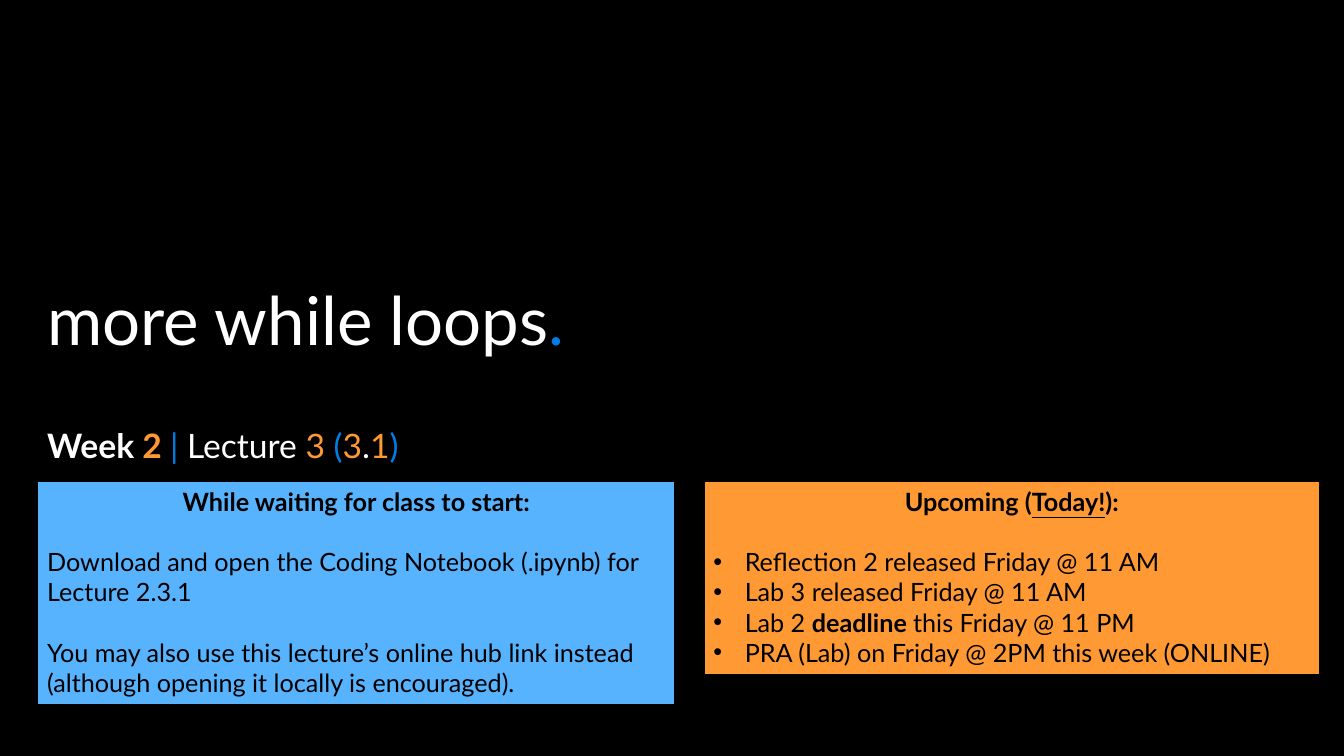
from lxml.etree import SubElement
from pptx import Presentation
from pptx.dml.color import RGBColor
from pptx.enum.shapes import MSO_SHAPE
from pptx.enum.text import MSO_ANCHOR, PP_ALIGN
from pptx.oxml.ns import qn
from pptx.util import Cm, Pt

BLACK, WHITE = "000000", "FFFFFF"
BLUE, ORANGE, SKY = "017EE5", "FF9933", "58B3FE"
LEFT, WIDE = 0.94, 31.65
TOP = 12.12


def paint(color, code):
    """Give a fill, line or font colour format its hex colour."""
    color.rgb = RGBColor.from_string(code)


def write(para, parts, size):
    """Fill a paragraph with (text, colour, bold, underline) parts."""
    for text, code, bold, under in parts:
        run = para.add_run()
        run.text = text
        font = run.font
        font.name, font.size = "Lato", Pt(size)
        font.bold, font.underline = bold, under
        paint(font.color, code)


def bullet(para):
    props = para._p.get_or_add_pPr()
    props.set("marL", str(Cm(0.79)))
    props.set("indent", str(-Cm(0.79)))
    SubElement(props, qn("a:buFont")).set("typeface", "Arial")
    SubElement(props, qn("a:buChar")).set("char", "•")


def heading(slide, box, parts, size, anchor):
    """Place one line of large text in the box."""
    frame = slide.shapes.add_textbox(*map(Cm, box)).text_frame
    frame.word_wrap = True
    frame.vertical_anchor = anchor
    para = frame.paragraphs[0]
    para.line_spacing = 0.9
    write(para, parts, size)


def panel(slide, box, fill, title, rows, gaps, dots=False):
    """Draw a filled notice; gaps holds the rows that follow an empty line."""
    shape = slide.shapes.add_shape(MSO_SHAPE.RECTANGLE, *map(Cm, box))
    shape.shadow.inherit = False
    shape.fill.solid()
    paint(shape.fill.fore_color, fill)
    paint(shape.line.color, BLACK)
    shape.line.width = Pt(1.5)
    frame = shape.text_frame
    frame.word_wrap = True
    frame.vertical_anchor = MSO_ANCHOR.TOP
    head = frame.paragraphs[0]
    head.alignment = PP_ALIGN.CENTER
    write(head, [(text, BLACK, True, under) for text, under in title], 18)
    for index, row in enumerate(rows):
        para = frame.add_paragraph()
        para.alignment = PP_ALIGN.LEFT
        if index in gaps:
            para.space_before = Pt(21.6)
        if dots:
            bullet(para)
        write(para, [(text, BLACK, bold, False) for text, bold in row], 18)


def cover(deck):
    slide = deck.slides.add_slide(deck.slide_layouts[6])
    back = slide.background.fill
    back.solid()
    paint(back.fore_color, BLACK)

    title = [("more while loops", WHITE), (".", BLUE)]
    heading(slide, (LEFT, 6.71, WIDE, 2.49),
            [(text, code, False, False) for text, code in title],
            48, MSO_ANCHOR.BOTTOM)

    week = [("Week ", WHITE, True), ("2 ", ORANGE, True), ("|", BLUE, False),
            (" Lecture ", WHITE, False), ("3 ", ORANGE, False),
            ("(", BLUE, False), ("3", ORANGE, False), (".", WHITE, False),
            ("1", ORANGE, False), (")", BLUE, False)]
    heading(slide, (LEFT, 10.69, WIDE, 4.6),
            [part + (False,) for part in week], 24, MSO_ANCHOR.TOP)

    panel(slide, (17.73, TOP, 15.54, 4.88), ORANGE,
          [("Upcoming (", False), ("Today!", True), ("):", False)],
          [[("Reflection 2 released Friday @ 11 AM", False)],
           [("Lab 3 released Friday @ 11 AM", False)],
           [("Lab 2 ", False), ("deadline ", True),
            ("this Friday @ 11 PM", False)],
           [("PRA (Lab) on Friday @ 2PM this week (ONLINE)", False)]],
          gaps={0}, dots=True)
    panel(slide, (LEFT, TOP, 16.08, 5.64), SKY,
          [("While waiting for class to start:", False)],
          [[("Download and open the Coding Notebook (.ipynb) for "
             "Lecture 2.3.1", False)],
           [("You may also use this lecture’s online hub link instead "
             "(although opening it locally is encouraged).", False)]],
          gaps={0, 1})


def main():
    deck = Presentation()
    deck.slide_width, deck.slide_height = Cm(33.87), Cm(19.05)
    cover(deck)
    deck.save("out.pptx")


if __name__ == "__main__":
    main()
